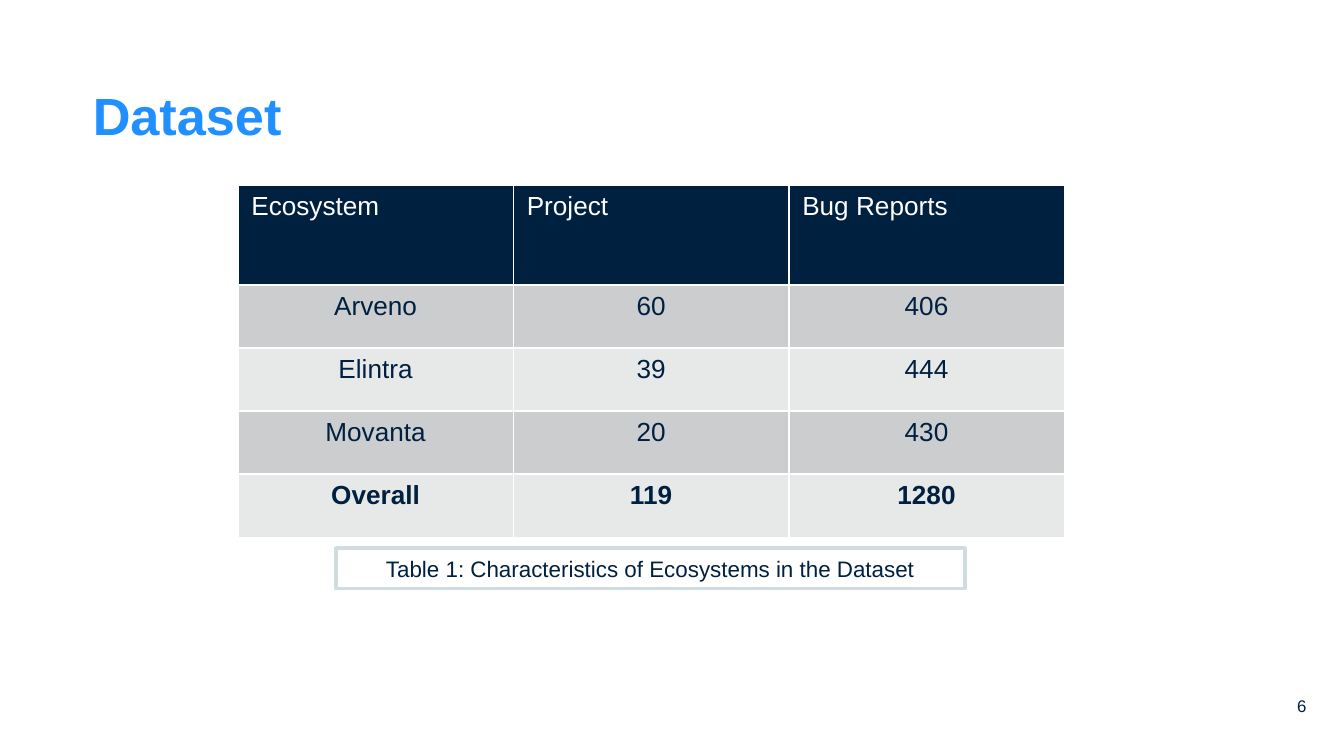
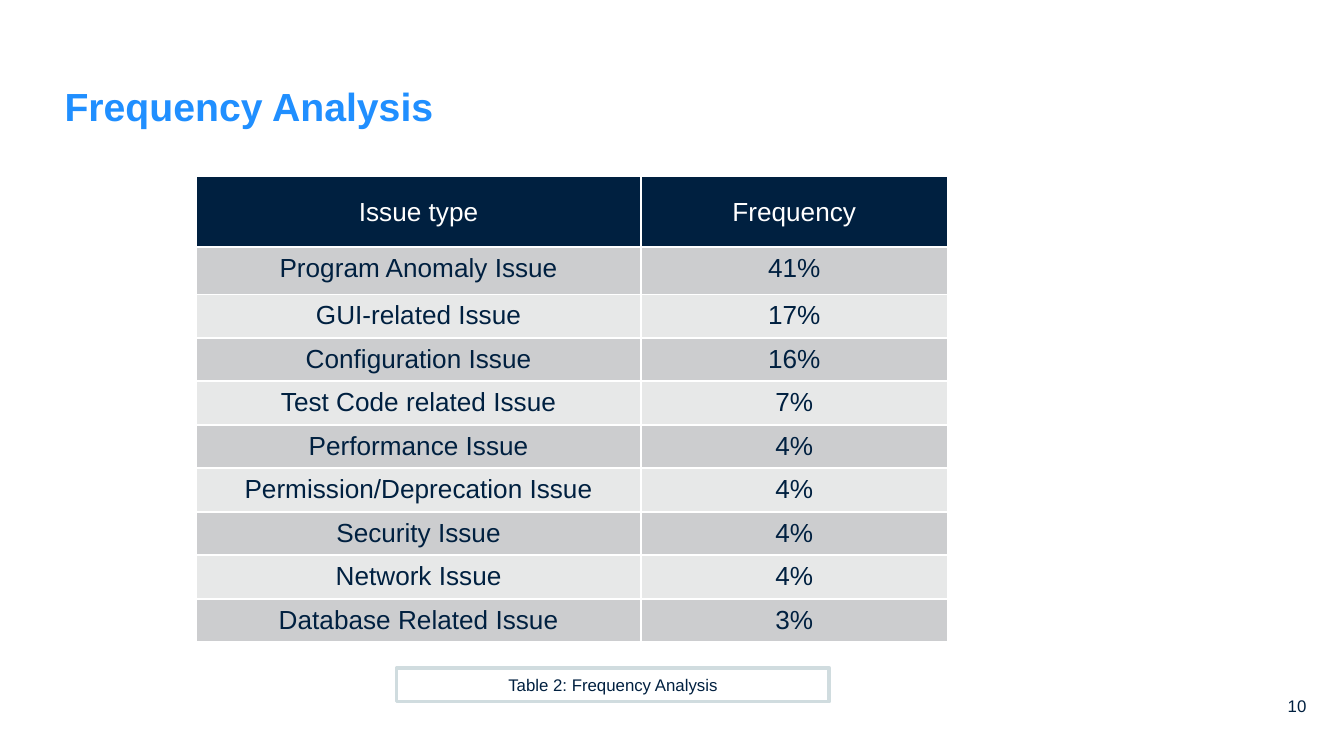
from lxml.etree import SubElement
from pptx import Presentation
from pptx.dml.color import RGBColor
from pptx.enum.shapes import MSO_SHAPE as SHAPE
from pptx.enum.text import MSO_ANCHOR as ANCHOR, PP_ALIGN as ALIGN
from pptx.oxml.ns import qn
from pptx.util import Inches, Pt

FONT = "Arial"
NAVY, BLUE, WHITE = "002040", "208FFF", "FFFFFF"
BANDS = ("CCCDCF", "E7E8E8")
FRAME = "D0DCDF"


def rgb(value):
    """Turn a hex string into a colour."""
    return RGBColor.from_string(value)


def write(tf, text, size, color=NAVY, bold=False, align=ALIGN.LEFT):
    """Set the text of a frame and format its one paragraph."""
    tf.text = text
    p = tf.paragraphs[0]
    p.alignment = align
    font = p.runs[0].font
    font.name, font.size, font.bold = FONT, Pt(size), bold
    font.color.rgb = rgb(color)


def add_text(s, box, text, size, **style):
    """Add a top-anchored text box without insets."""
    tf = s.shapes.add_textbox(*map(Inches, box)).text_frame
    tf.word_wrap = True
    tf.vertical_anchor = ANCHOR.TOP
    tf.margin_left = tf.margin_right = tf.margin_top = tf.margin_bottom = 0
    write(tf, text, size, **style)


def add_page_number(s, number):
    """Add the page number in the lower right corner."""
    add_text(s, (9.39, 5.18, 0.33, 0.21), str(number), 9, align=ALIGN.RIGHT)


def add_title(s, left, top, text, size):
    """Add the blue slide title."""
    add_text(s, (left, top, 8.62, 0.49), text, size, color=BLUE, bold=True)


def set_borders(cell):
    """Draw thin white borders around a cell."""
    tc_pr = cell._tc.get_or_add_tcPr()
    for side in "LRTB":
        ln = SubElement(tc_pr, qn(f"a:ln{side}"), w=str(Pt(1)))
        fill = SubElement(ln, qn("a:solidFill"))
        SubElement(fill, qn("a:srgbClr"), val=WHITE)


def add_banded_table(s, box, rows, widths, heights, head_align, head_anchor,
                     bold_last=False):
    """Add a table with a navy header and grey banded rows."""
    frame = s.shapes.add_table(len(rows), len(widths), *map(Inches, box))
    table = frame.table
    for column, width in zip(table.columns, widths):
        column.width = Inches(width)
    for i, (values, height) in enumerate(zip(rows, heights)):
        head = i == 0
        table.rows[i].height = Inches(height)
        for j, value in enumerate(values):
            cell = table.cell(i, j)
            set_borders(cell)
            cell.fill.solid()
            cell.fill.fore_color.rgb = rgb(NAVY if head else BANDS[(i - 1) % 2])
            cell.vertical_anchor = head_anchor if head else ANCHOR.TOP
            cell.margin_bottom = Inches(0.04)
            write(cell.text_frame, value, 14, WHITE if head else NAVY,
                  bold=bold_last and i == len(rows) - 1,
                  align=head_align if head else ALIGN.CENTER)


def add_caption(s, box, text, size):
    """Add the framed caption below a table."""
    sp = s.shapes.add_shape(SHAPE.RECTANGLE, *map(Inches, box))
    sp.shadow.inherit = False
    sp.fill.solid()
    sp.fill.fore_color.rgb = rgb(WHITE)
    sp.line.color.rgb = rgb(FRAME)
    sp.line.width = Pt(2)
    sp.text_frame.word_wrap = True
    sp.text_frame.vertical_anchor = ANCHOR.MIDDLE
    write(sp.text_frame, text, size, align=ALIGN.CENTER)


def add_dataset_slide(prs):
    """Build the slide that lists the ecosystems."""
    s = prs.slides.add_slide(prs.slide_layouts[6])
    add_page_number(s, 6)
    add_title(s, 0.69, 0.62, "Dataset", 28)
    rows = [
        ("Ecosystem", "Project", "Bug Reports"),
        ("Arveno", "60", "406"),
        ("Elintra", "39", "444"),
        ("Movanta", "20", "430"),
        ("Overall", "119", "1280"),
    ]
    add_banded_table(s, (1.77, 1.38, 6.14, 2.61), rows, [2.05] * 3,
                     [0.74] + [0.47] * 4, ALIGN.LEFT, ANCHOR.TOP,
                     bold_last=True)
    add_caption(s, (2.5, 4.08, 4.68, 0.3),
                "Table 1: Characteristics of Ecosystems in the Dataset", 12)


def add_frequency_slide(prs):
    """Build the slide that lists how often each issue type occurs."""
    s = prs.slides.add_slide(prs.slide_layouts[6])
    add_page_number(s, 10)
    add_title(s, 0.48, 0.61, "Frequency Analysis", 21)
    rows = [
        ("Issue type", "Frequency"),
        ("Program Anomaly Issue", "41%"),
        ("GUI-related Issue", "17%"),
        ("Configuration Issue", "16%"),
        ("Test Code related Issue", "7%"),
        ("Performance Issue", "4%"),
        ("Permission/Deprecation Issue", "4%"),
        ("Security Issue", "4%"),
        ("Network Issue", "4%"),
        ("Database Related Issue", "3%"),
    ]
    add_banded_table(s, (1.46, 1.31, 5.59, 3.55), rows, [3.31, 2.28],
                     [0.53, 0.35] + [0.31] * 8, ALIGN.CENTER, ANCHOR.MIDDLE)
    add_caption(s, (2.95, 4.97, 3.22, 0.25), "Table 2: Frequency Analysis", 9)


def main():
    """Build and save the presentation."""
    prs = Presentation()
    prs.slide_width = Inches(10)
    prs.slide_height = prs.slide_width * 9 // 16
    add_dataset_slide(prs)
    add_frequency_slide(prs)
    prs.save("out.pptx")


if __name__ == "__main__":
    main()
